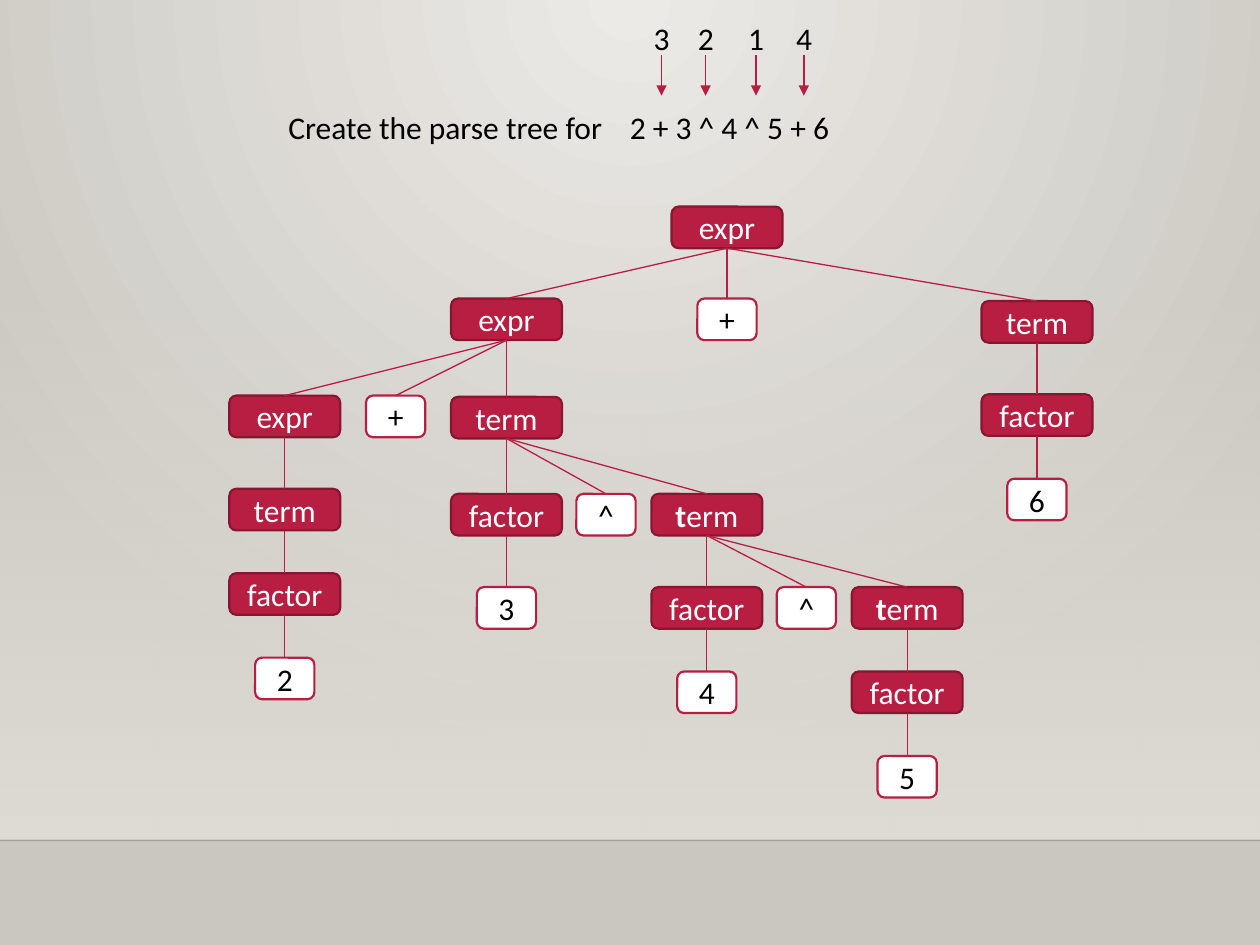
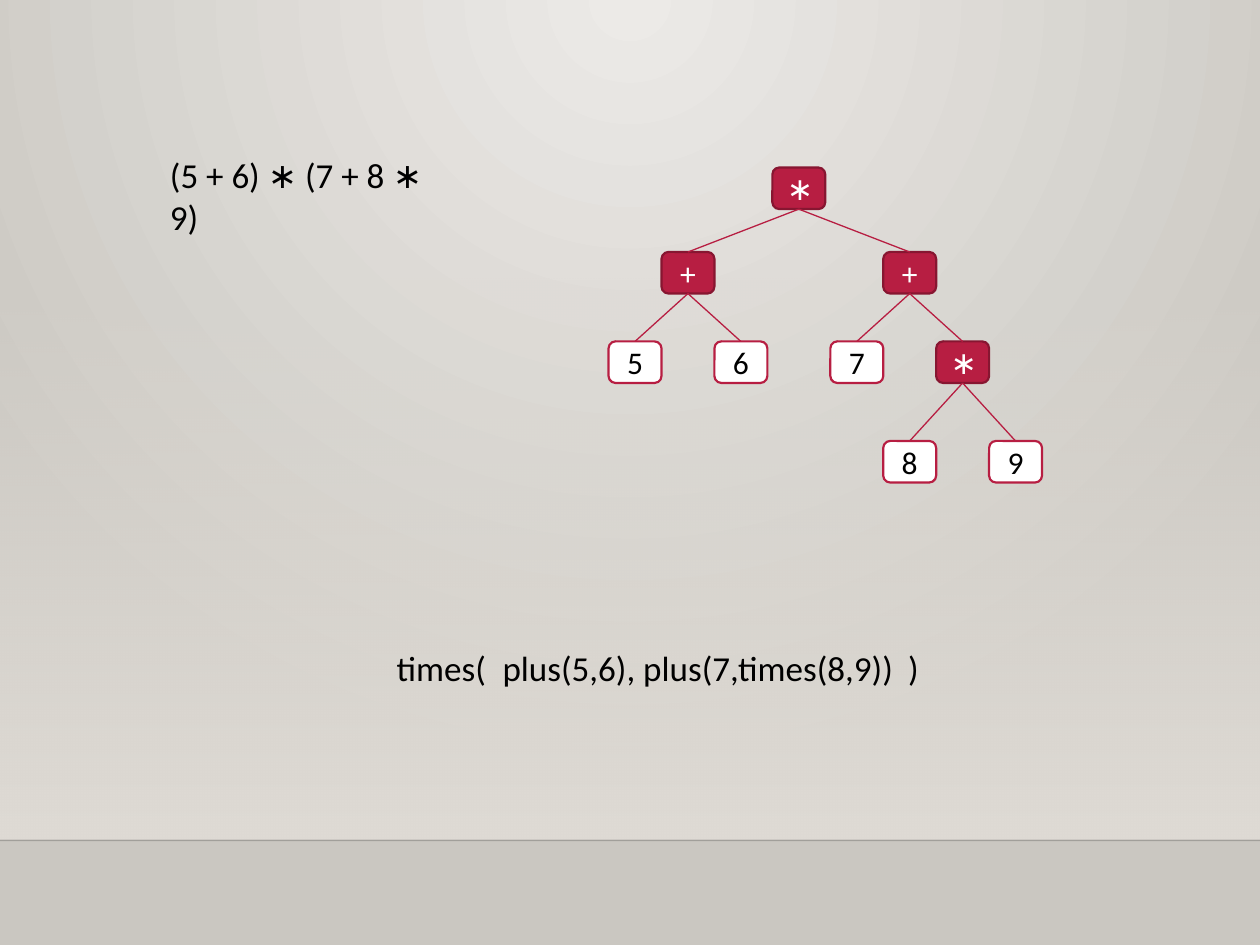
from dataclasses import dataclass

from lxml.etree import SubElement
from pptx import Presentation
from pptx.dml.color import RGBColor
from pptx.enum.shapes import MSO_CONNECTOR, MSO_SHAPE
from pptx.enum.text import MSO_ANCHOR, PP_ALIGN
from pptx.oxml.ns import qn
from pptx.util import Inches, Pt

COLORS = {
    "glow": "ECEAE7", "backdrop": "CAC7C1", "veil": "DFDBD5", "horizon": "000001",
    "crimson": "B71E42", "crimson_edge": "871631", "white": "FFFFFF", "black": "000000",
}
FONT = "Calibri"
NODE_HEIGHT = 0.33
WIDE, NARROW, SQUARE = 0.88, 0.47, 0.42


@dataclass
class Node:
    """A tree node; dx and drop place its top centre relative to its parent's."""
    label: str
    dx: float = 0
    drop: float = 0
    children: tuple = ()
    bold_start: str = ""


def rgb(name):
    return RGBColor.from_string(COLORS[name])


def set_alpha(color_parent, percent):
    color = next(color_parent.iter(qn("a:srgbClr")))
    SubElement(color, qn("a:alpha"), val=str(percent * 1000))


def set_gradient(fill, start, end):
    fill.gradient()
    for stop, name in zip(fill.gradient_stops, (start, end)):
        stop.color.rgb = rgb(name)


def set_background(master):
    """Radial glow from the middle of the top edge."""
    set_gradient(master.background.fill, "glow", "backdrop")
    gradient = master.element.find(".//" + qn("a:gradFill"))
    gradient.remove(gradient.find(qn("a:lin")))
    glow = SubElement(gradient, qn("a:path"), path="circle")
    SubElement(glow, qn("a:fillToRect"), l="43000", t="0", r="43000", b="100000")


def add_run(paragraph, text, size, color, bold=False):
    run = paragraph.add_run()
    run.text = text
    run.font.name = FONT
    run.font.size = Pt(size)
    run.font.bold = bold
    run.font.color.rgb = rgb(color)


def add_line(slide, x1, y1, x2, y2, color="crimson", width=0.75):
    line = slide.shapes.add_connector(
        MSO_CONNECTOR.STRAIGHT, Inches(x1), Inches(y1), Inches(x2), Inches(y2))
    line.line.color.rgb = rgb(color)
    line.line.width = Pt(width)
    SubElement(line.element.spPr, qn("a:effectLst"))
    return line


def add_text(slide, left, top, width, height, text, size, tabs=(), wrap=True):
    frame = slide.shapes.add_textbox(
        Inches(left), Inches(top), Inches(width), Inches(height)).text_frame
    frame.word_wrap = wrap
    paragraph = frame.paragraphs[0]
    if tabs:
        tab_list = SubElement(paragraph._p.get_or_add_pPr(), qn("a:tabLst"))
        for position in tabs:
            SubElement(tab_list, qn("a:tab"), pos=str(Inches(position)), algn="l")
    add_run(paragraph, text, size, "black")


def add_slide(prs):
    """Blank slide with the light veil and the horizon line."""
    slide = prs.slides.add_slide(prs.slide_layouts[6])
    veil = slide.shapes.add_shape(
        MSO_SHAPE.RECTANGLE, 0, Inches(2.2), prs.slide_width, Inches(4.46))
    veil.shadow.inherit = False
    veil.line.fill.background()
    set_gradient(veil.fill, "veil", "veil")
    veil.fill.gradient_angle = 270
    set_alpha(veil.element.spPr, 0)
    horizon = add_line(slide, 0, 6.67, 10, 6.67, "horizon", 1)
    set_alpha(horizon.element.spPr, 20)
    return slide


def add_node(slide, node, center, top, width):
    fill, edge, ink = (("crimson", "crimson_edge", "white") if node.children
                       else ("white", "crimson", "black"))
    box = slide.shapes.add_shape(
        MSO_SHAPE.ROUNDED_RECTANGLE, Inches(center - width / 2), Inches(top),
        Inches(width), Inches(NODE_HEIGHT))
    box.shadow.inherit = False
    box.fill.solid()
    box.fill.fore_color.rgb = rgb(fill)
    box.line.color.rgb = rgb(edge)
    box.line.width = Pt(1.25)
    box.text_frame.vertical_anchor = MSO_ANCHOR.MIDDLE
    paragraph = box.text_frame.paragraphs[0]
    paragraph.alignment = PP_ALIGN.CENTER
    if node.bold_start:
        add_run(paragraph, node.bold_start, 18, ink, bold=True)
    add_run(paragraph, node.label, 18, ink)
    return box


def add_tree(slide, node, center, top, branch_width, leaf_width):
    """Draw a node at its top centre, then its subtrees joined to it."""
    width = branch_width if node.children else leaf_width
    box = add_node(slide, node, center, top, width)
    for child in node.children:
        x, y = center + child.dx, top + child.drop
        child_box = add_tree(slide, child, x, y, branch_width, leaf_width)
        edge = add_line(slide, center, top + NODE_HEIGHT, x, y)
        edge.begin_connect(box, 2)
        edge.end_connect(child_box, 0)
    return box


def factor(number, drop, leaf_drop=0.67):
    return Node("factor", 0, drop, (Node(number, 0, leaf_drop),))


def power(base, exponent, drop):
    """Children of a term: base factor, operator, exponent term."""
    base.drop = exponent.drop = drop
    exponent.dx = 1.59
    return base, Node("^", 0.79, drop), exponent


def parse_tree():
    five = Node("erm", children=(factor("5", 0.67),), bold_start="t")
    four_power = Node("erm", children=power(factor("4", 0), five, 0.74), bold_start="t")
    three_power = Node("term", 0, 0.78, power(factor("3", 0, 0.74), four_power, 0.77))
    two = Node("expr", -1.76, 0.77, (Node("term", 0, 0.74, (factor("2", 0.67),)),))
    first_sum = Node("expr", -1.75, 0.73, (two, Node("+", -0.88, 0.77), three_power))
    six = Node("term", 2.46, 0.75, (factor("6", 0.74),))
    return Node("expr", children=(first_sum, Node("+", 0, 0.73), six))


def operation(sign, left, right, drop, spread=0.42):
    for child, side in ((left, -1), (right, 1)):
        child.dx, child.drop = side * spread, drop
    return Node(sign, children=(left, right))


def syntax_tree():
    product = operation("∗", Node("8"), Node("9"), 0.79)
    return operation("∗", operation("+", Node("5"), Node("6"), 0.71),
                     operation("+", Node("7"), product, 0.71), 0.67, 0.88)


def add_order_mark(slide, center, top, number):
    """Evaluation order number with an arrow down to its operator."""
    arrow = add_line(slide, center, top + 0.34, center, top + 0.66)
    SubElement(arrow.line._get_or_add_ln(), qn("a:tailEnd"), type="triangle")
    add_text(slide, center - 0.16, top, 0.33, 0.4, number, 18, wrap=False)


def build_parse_slide(prs):
    slide = add_slide(prs)
    add_text(slide, 2.19, 0.81, 5, 0.4,
             "Create the parse tree for\t2 + 3 ^ 4 ^ 5 + 6", 18, tabs=(2.71,))
    add_tree(slide, parse_tree(), 5.77, 1.64, WIDE, NARROW)
    for number, center in zip("3214", (5.25, 5.6, 6, 6.38)):
        add_order_mark(slide, center, 0.1, number)


def build_syntax_slide(prs):
    slide = add_slide(prs)
    add_text(slide, 1.25, 1.17, 2.35, 0.44, "(5 + 6) ∗ (7 + 8 ∗ 9)", 20)
    add_tree(slide, syntax_tree(), 6.34, 1.33, SQUARE, SQUARE)
    add_text(slide, 3.05, 5.08, 4.4, 0.44,
             "times(\tplus(5,6), plus(7,times(8,9))\t)", 20, tabs=(0.84, 4.06))


def main():
    prs = Presentation()
    prs.slide_width, prs.slide_height = Inches(10), Inches(7.5)
    set_background(prs.slide_master)
    build_parse_slide(prs)
    build_syntax_slide(prs)
    prs.save("out.pptx")


if __name__ == "__main__":
    main()
